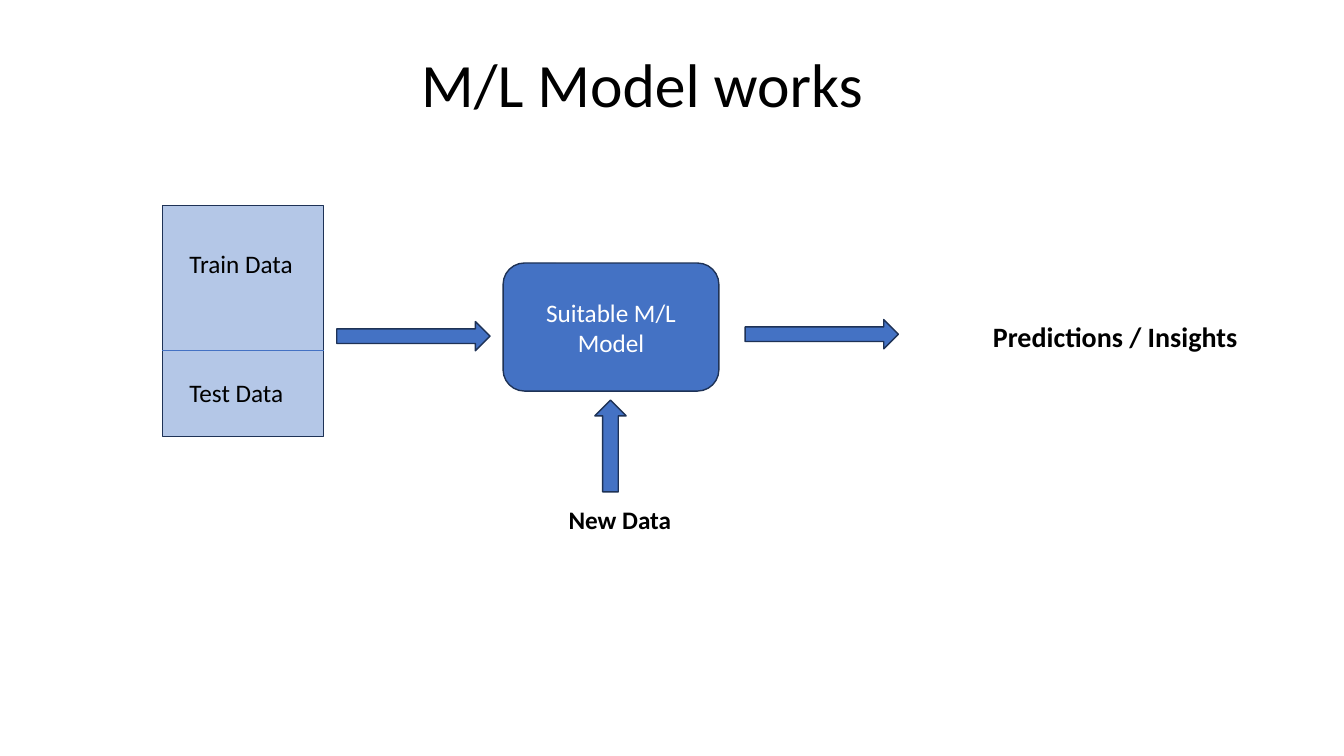
from lxml.etree import SubElement
from pptx import Presentation
from pptx.dml.color import RGBColor as Rgb
from pptx.enum.shapes import MSO_CONNECTOR as Conn, MSO_SHAPE as Kind
from pptx.enum.text import MSO_ANCHOR as Anchor, PP_ALIGN as Align
from pptx.oxml.ns import qn
from pptx.util import Inches, Pt

HUES = {
    "black": "000000",
    "white": "FFFFFF",
    "blue": "4472C4",
    "pale": "B4C7E7",
    "navy": "1E3256",
}


def hue(name):
    """Return the named colour."""
    return Rgb.from_string(HUES[name])


def put(item, **form):
    """Set each format value on an item."""
    for key, val in form.items():
        setattr(item, key, val)


def write(shape, text, size=18, ink="black", bold=False, align=Align.LEFT,
          anchor=Anchor.TOP, wrap=True):
    """Write one paragraph into a shape."""
    frame = shape.text_frame
    put(frame, word_wrap=wrap, vertical_anchor=anchor)
    para = frame.paragraphs[0]
    para.alignment = align
    run = para.add_run()
    run.text = text
    put(run.font, name="Calibri", size=Pt(size), bold=bold)
    run.font.color.rgb = hue(ink)
    return para


def label(slide, box, text, **form):
    """Add a text box and return its paragraph."""
    shape = slide.shapes.add_textbox(*map(Inches, box))
    return write(shape, text, **form)


def block(slide, kind, box, fill="blue", turn=0):
    """Add a filled shape with a navy edge."""
    shape = slide.shapes.add_shape(kind, *map(Inches, box))
    shape.shadow.inherit = False
    shape.fill.solid()
    shape.fill.fore_color.rgb = hue(fill)
    shape.line.color.rgb = hue("navy")
    shape.line.width = Pt(1)
    shape.rotation = turn
    return shape


def rule(slide, left, right, top):
    """Add a thin level line."""
    ends = map(Inches, (left, top, right, top))
    line = slide.shapes.add_connector(Conn.STRAIGHT, *ends)
    line.line.color.rgb = hue("blue")
    line.line.width = Pt(0.5)
    SubElement(line._element.spPr, qn("a:effectLst"))


def main():
    """Build the model flow slide."""
    deck = Presentation()
    put(deck, slide_width=Inches(13.33), slide_height=Inches(7.5))
    slide = deck.slides.add_slide(deck.slide_layouts[6])

    block(slide, Kind.RECTANGLE, (1.61, 2.04, 1.6, 2.29), "pale")
    title = label(slide, (0.92, 0.4, 10.9, 0.94), "M/L Model works", size=44,
                  align=Align.CENTER, anchor=Anchor.MIDDLE)
    title.line_spacing = 0.9
    for top, text in ((2.41, "Train Data"), (3.69, "Test Data")):
        label(slide, (1.78, top, 1.25, 0.4), text, wrap=False)
    rule(slide, 1.61, 3.21, 3.48)

    model = block(slide, Kind.ROUNDED_RECTANGLE, (4.99, 2.61, 2.14, 1.27))
    write(model, "Suitable M/L Model", ink="white", align=Align.CENTER,
          anchor=Anchor.MIDDLE)

    for box, turn in (
        ((3.34, 3.19, 1.52, 0.29), 0),
        ((5.6, 4.27, 0.91, 0.31), 270),
        ((7.39, 3.17, 1.52, 0.29), 0),
    ):
        block(slide, Kind.RIGHT_ARROW, box, turn=turn)

    label(slide, (5.54, 4.95, 1.35, 0.4), "New Data", bold=True)
    label(slide, (9.75, 3.12, 2.67, 0.44), "Predictions / Insights", size=20,
          bold=True, wrap=False)
    deck.save("out.pptx")


if __name__ == "__main__":
    main()
